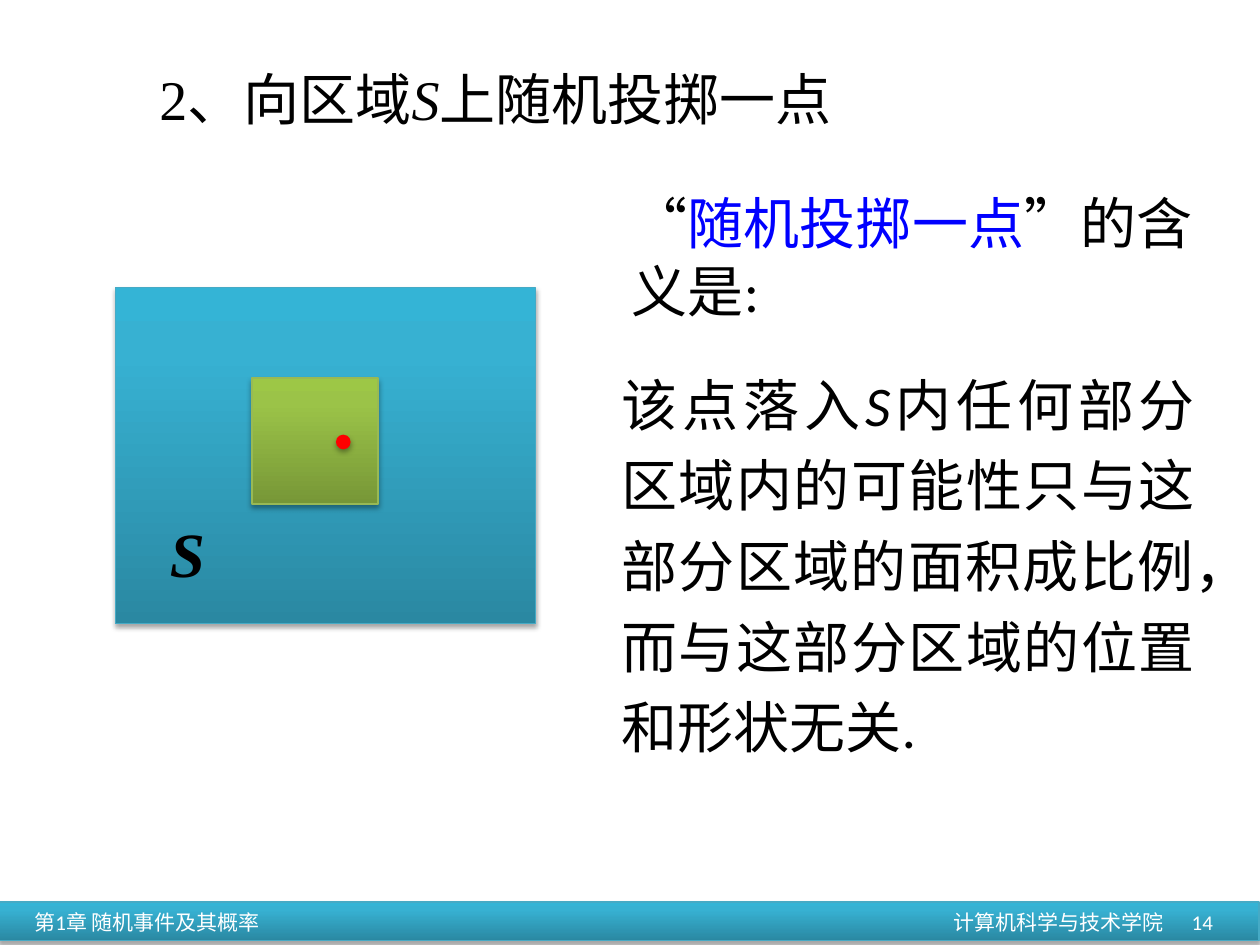
from copy import deepcopy

from lxml.etree import SubElement
from pptx import Presentation
from pptx.dml.color import RGBColor
from pptx.enum.shapes import MSO_SHAPE
from pptx.enum.text import MSO_ANCHOR, PP_ALIGN
from pptx.oxml.ns import qn
from pptx.util import Inches, Pt

COLORS = {"text": "000000", "light": "FFFFFF", "keyword": "0000FF", "point": "FF0000",
          "blue line": "46AAC5", "green line": "98B955"}
BLUES = ("2A88A2", "37B1D2", "34B4D6")
GREENS = ("779737", "9BC348", "9DC746")
SERIF, SANS = "Times New Roman", "Calibri"

deck = Presentation()
deck.slide_width, deck.slide_height = Inches(10), Inches(7.5)
slide = deck.slides.add_slide(deck.slide_layouts[6])
CELL = deck.slide_width / 120  # grid of 120 columns by 90 rows


def style(shape, line=None, gradient=None, solid=None):
    """Fill and outline a shape and give it a soft shadow below."""
    if gradient:
        shape.fill.gradient()
        shape.fill.gradient_angle = 90
        stops = shape.fill.gradient_stops[0]._gs.getparent()
        stops.append(deepcopy(stops[-1]))
        for stop, position, color in zip(shape.fill.gradient_stops, (0, 0.8, 1), gradient):
            stop.position = position
            stop.color.rgb = RGBColor.from_string(color)
    else:
        shape.fill.solid()
        shape.fill.fore_color.rgb = RGBColor.from_string(solid)
    if line:
        shape.line.color.rgb = RGBColor.from_string(line)
        shape.line.width = Pt(0.75)
    else:
        shape.line.fill.background()
    shape.shadow.inherit = False
    effects = shape._element.spPr.find(qn("a:effectLst"))
    shadow = SubElement(effects, qn("a:outerShdw"), blurRad=str(Pt(3.1)), dist=str(Pt(1.8)),
                        dir="5400000", rotWithShape="0")
    black = SubElement(shadow, qn("a:srgbClr"), val=COLORS["text"])
    SubElement(black, qn("a:alpha"), val="35000")


def write(box, runs, size, face, color="text", align=PP_ALIGN.LEFT, spacing=None,
          anchor=MSO_ANCHOR.TOP, wrap=True):
    """Put one paragraph of (text, italic, color) runs at grid box (col, row, cols, rows)."""
    frame = slide.shapes.add_textbox(*(int(n * CELL) for n in box)).text_frame
    frame.word_wrap, frame.vertical_anchor = wrap, anchor
    paragraph = frame.paragraphs[0]
    paragraph.alignment, paragraph.line_spacing = align, spacing
    paragraph.font.size, paragraph.font.name = Pt(size), face
    paragraph.font.color.rgb = RGBColor.from_string(COLORS[color])
    for text, italic, run_color in runs:
        run = paragraph.add_run()
        run.text = text
        if italic:
            run.font.italic = True
        if run_color:
            run.font.color.rgb = RGBColor.from_string(COLORS[run_color])
    return paragraph


# Footer bar with chapter, school and page number
footer = slide.shapes.add_shape(MSO_SHAPE.RECTANGLE, *(int(n * CELL) for n in (-0.1, 85.9, 120, 3.7)))
style(footer, COLORS["blue line"], BLUES)
for left, width, label, align in ((2.1, 40, "第1章 随机事件及其概率", PP_ALIGN.LEFT),
                                  (72, 40, "计算机科学与技术学院", PP_ALIGN.RIGHT),
                                  (88.7, 28, "14", PP_ALIGN.RIGHT)):
    write((left, 85.4, width, 4.8), [(label, False, None)], 12, SANS, "light", align,
          anchor=MSO_ANCHOR.MIDDLE)

# Explanation
write((58, 33.4, 57, 39.6),
      [("该点落入", False, None), ("S", True, None),
       ("内任何部分区域内的可能性只与这部分区域的面积成比例，而与这部分区域的位置和形状无关.", False, None)],
      32, SANS, align=PP_ALIGN.JUSTIFY, spacing=1.2)

# Region S
region = slide.shapes.add_shape(MSO_SHAPE.RECTANGLE, *(int(n * CELL) for n in (11, 27.4, 40, 32)))
style(region, COLORS["blue line"], BLUES)
region_label = write((15, 48.4, 5.8, 8.4), [("S", True, None)], 36, SERIF, wrap=False)
region_label.font.bold = True

# Heading
write((14, 4.3, 77.2, 9),
      [("2、向区域", False, None), ("S", True, None), ("上随机投掷一点", False, None)],
      32, SERIF, spacing=1.2)

# Question
write((59, 17.4, 57, 14),
      [("“", False, None), ("随机投掷一点", False, "keyword"), ("”的含义是:", False, None)], 32, SANS)

# Part of the region: Bezier curves (two controls and an end, in inches), sampled into short edges
start = (2.04, 3)
curves = [
    ((2.2, 2.95), (2.32, 2.97), (2.48, 3)), ((2.65, 3.03), (2.83, 3.04), (3, 3.07)),
    ((3.04, 3.08), (3.09, 3.08), (3.13, 3.11)), ((3.2, 3.16), (3.26, 3.21), (3.33, 3.26)),
    ((3.37, 3.38), (3.36, 3.64), (3.28, 3.76)), ((3.21, 3.88), (3.04, 3.93), (2.91, 3.98)),
    ((2.83, 3.97), (2.75, 3.97), (2.67, 3.96)), ((2.58, 3.94), (2.5, 3.88), (2.41, 3.85)),
    ((2.29, 3.77), (2.23, 3.68), (2.15, 3.57)), ((2.14, 3.54), (2.12, 3.52), (2.11, 3.5)),
    ((2.09, 3.48), (2.06, 3.43), (2.06, 3.43)), ((2.04, 3.37), (2.02, 3.3), (2, 3.24)),
    ((2.01, 3.16), (2.04, 3.08), (2.04, 3)),
]
STEPS = 8
outline, here = [], start
for first, second, end in curves:
    for step in range(1, STEPS + 1):
        t = step / STEPS
        weights = ((1 - t) ** 3, 3 * t * (1 - t) ** 2, 3 * t ** 2 * (1 - t), t ** 3)
        corners = (here, first, second, end)
        outline.append(tuple(sum(w * c[axis] for w, c in zip(weights, corners)) for axis in (0, 1)))
    here = end
builder = slide.shapes.build_freeform(*start, scale=Inches(1))
builder.add_line_segments(outline, close=True)
style(builder.convert_to_shape(), COLORS["green line"], GREENS)

# Thrown point
point = slide.shapes.add_shape(MSO_SHAPE.OVAL, *(int(n * CELL) for n in (32, 41.4, 1.4, 1.4)))
style(point, solid=COLORS["point"])

deck.save("out.pptx")
